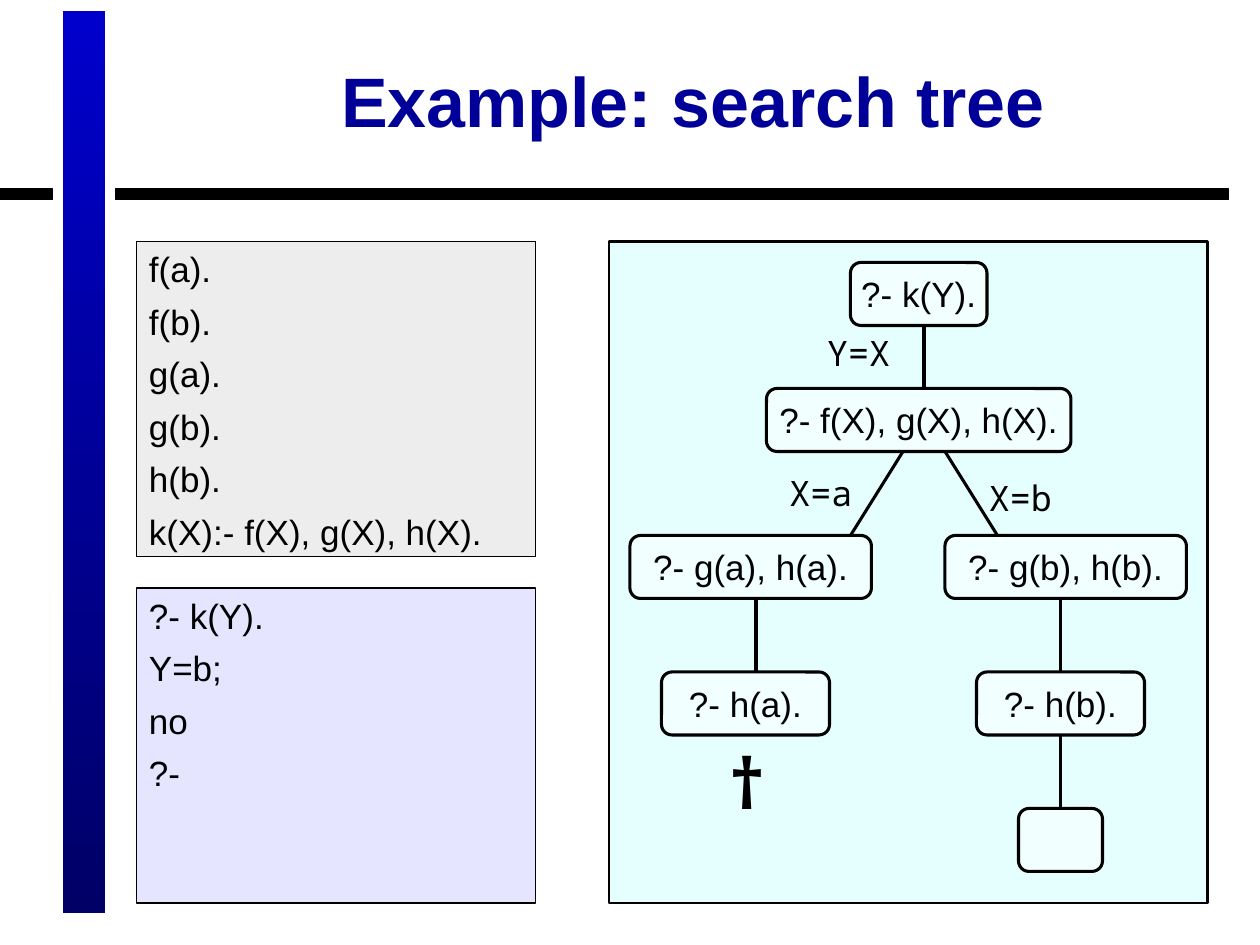
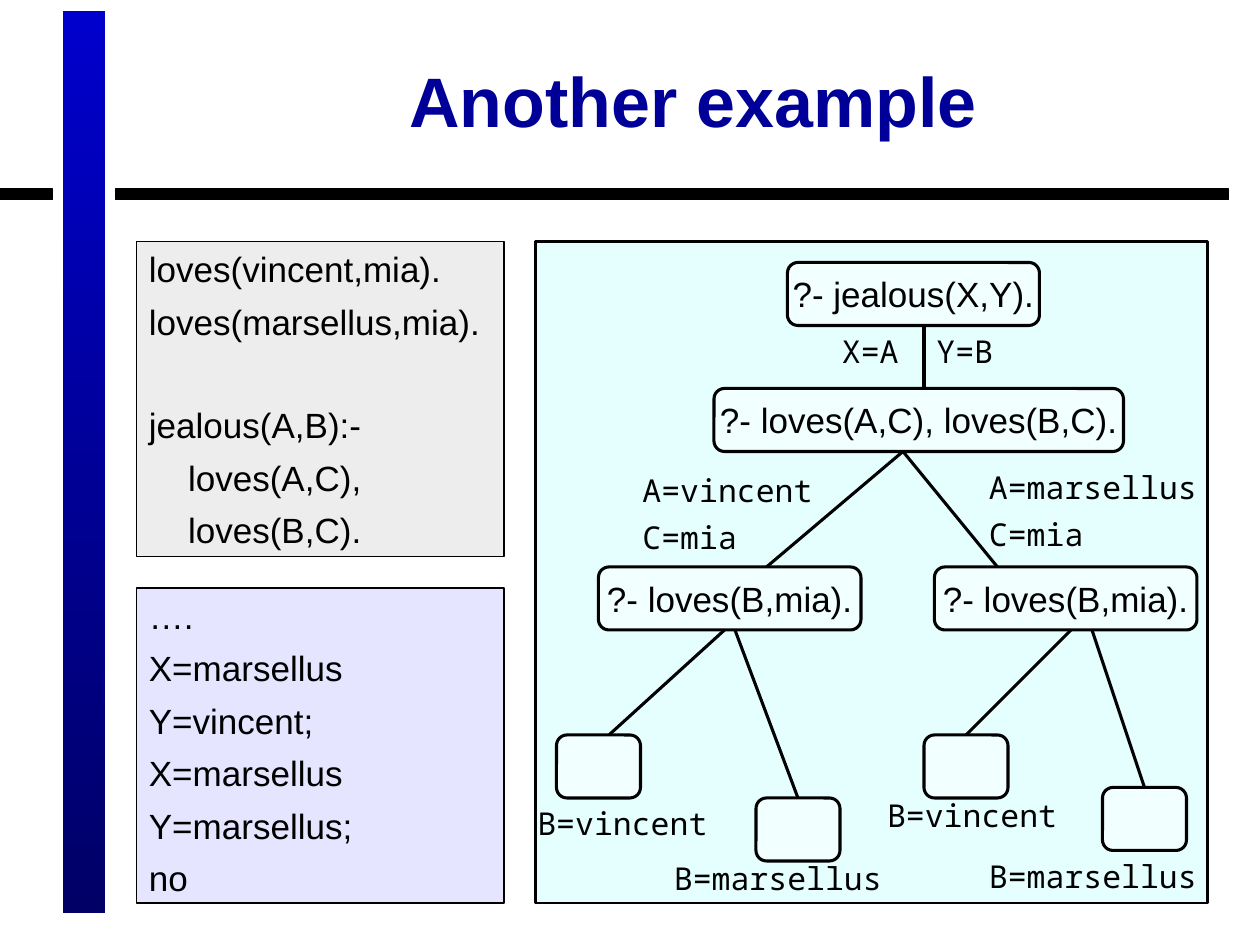
"""Build two slides that show Prolog programs beside their search trees."""
from dataclasses import dataclass

import lxml.etree
import pptx
import pptx.dml.color
import pptx.enum.shapes
import pptx.enum.text
import pptx.oxml.ns
import pptx.util

Cm = pptx.util.Cm
Pt = pptx.util.Pt
KIND = pptx.enum.shapes.MSO_SHAPE
ALIGN = pptx.enum.text.PP_ALIGN
ANCHOR = pptx.enum.text.MSO_ANCHOR

COLORS = {
    "ink": "000000",
    "paper": "FFFFFF",
    "title": "000099",
    "top": "0000CC",
    "base": "000066",
    "code": "DDDDDD",
    "query": "CCCCFF",
    "tree": "CCFFFF",
}
SANS = "Arial"
MONO = "Noto Sans Mono"
UNIT = 2.54 / 12
LEFT = 13
NODE_H = 6


@dataclass
class Box:
    left: float
    top: float
    wide: float
    high: float


@dataclass
class Row:
    text: str
    inset: float = 0
    gap: float = 6


@dataclass
class Node:
    left: float
    top: float
    wide: float = 8
    text: str = ""


@dataclass
class Edge:
    x1: float
    y1: float
    x2: float
    y2: float


@dataclass
class Note:
    text: str
    left: float
    top: float
    wide: float
    size: float = 18
    bold: bool = False


@dataclass
class Page:
    title: str
    wide: float
    panel: Box
    code: list[Row]
    query: list[Row]
    nodes: list[Node]
    edges: list[Edge]
    notes: list[Note]


def grid(count: float) -> pptx.util.Length:
    return Cm(count * UNIT)


def tint(name: str) -> pptx.dml.color.RGBColor:
    return pptx.dml.color.RGBColor.from_string(COLORS[name])


def draw_box(slide, box: Box, fill: str, line: str = "ink", width: float = 0.75,
             kind=KIND.RECTANGLE, alpha: int = 100):
    shape = slide.shapes.add_shape(kind, grid(box.left), grid(box.top),
                                   grid(box.wide), grid(box.high))
    shape.shadow.inherit = False
    shape.fill.solid()
    shape.fill.fore_color.rgb = tint(fill)
    shape.line.color.rgb = tint(line)
    shape.line.width = Pt(width)
    if alpha < 100:
        solid = shape.element.spPr.find(pptx.oxml.ns.qn("a:solidFill"))
        mark = lxml.etree.SubElement(solid[0], pptx.oxml.ns.qn("a:alpha"))
        mark.set("val", str(alpha * 1000))
    return shape


def write(shape, rows: list[Row], size: float = 20, font: str = SANS, color: str = "ink",
          bold: bool = False, align=ALIGN.LEFT, anchor=ANCHOR.TOP, wrap: bool = True) -> None:
    frame = shape.text_frame
    frame.text = "\n".join(row.text for row in rows)
    frame.word_wrap = wrap
    frame.vertical_anchor = anchor
    for para, row in zip(frame.paragraphs, rows):
        para.alignment = align
        para.space_before = Pt(row.gap)
        if row.inset:
            props = para._p.get_or_add_pPr()
            props.set("marL", str(Cm(row.inset)))
            props.set("indent", "0")
        for run in para.runs:
            run.font.name = font
            run.font.size = Pt(size)
            run.font.bold = bold
            run.font.color.rgb = tint(color)


def draw_frame(slide, title: str) -> None:
    band = draw_box(slide, Box(6, 1, 4, 86), "top")
    band.line.fill.background()
    band.fill.gradient()
    band.fill.gradient_angle = 270
    for stop, name in zip(band.fill.gradient_stops, ("top", "base")):
        stop.color.rgb = tint(name)
    for left, wide in ((11, 106), (0, 5)):
        draw_box(slide, Box(left, 18, wide, 1), "ink")
    head = draw_box(slide, Box(LEFT, 2, 106, 15), "paper", "paper")
    write(head, [Row(title, gap=0)], 40, color="title", bold=True,
          align=ALIGN.CENTER, anchor=ANCHOR.MIDDLE)


def draw_edge(slide, edge: Edge) -> None:
    ends = [grid(end) for end in (edge.x1, edge.y1, edge.x2, edge.y2)]
    line = slide.shapes.add_connector(pptx.enum.shapes.MSO_CONNECTOR.STRAIGHT, *ends)
    line.line.color.rgb = tint("ink")
    line.line.width = Pt(1.75)
    lxml.etree.SubElement(line.element.spPr, pptx.oxml.ns.qn("a:effectLst"))


def draw_node(slide, node: Node) -> None:
    shape = draw_box(slide, Box(node.left, node.top, node.wide, NODE_H), "paper",
                     width=1.75, kind=KIND.FLOWCHART_ALTERNATE_PROCESS, alpha=50)
    if node.text:
        write(shape, [Row(node.text)], align=ALIGN.CENTER, anchor=ANCHOR.MIDDLE, wrap=False)


def draw_note(slide, note: Note) -> None:
    lines = note.text.split("\n")
    high = note.size * len(lines) / 4
    shape = slide.shapes.add_textbox(grid(note.left), grid(note.top),
                                     grid(note.wide), grid(high))
    write(shape, [Row(line, gap=5) for line in lines], note.size, MONO,
          bold=note.bold, wrap=False)


def draw_page(deck, page: Page) -> None:
    slide = deck.slides.add_slide(deck.slide_layouts[6])
    draw_frame(slide, page.title)
    for fill, top, rows in (("code", 23, page.code), ("query", 56, page.query)):
        write(draw_box(slide, Box(LEFT, top, page.wide, 30), fill, alpha=50), rows)
    draw_box(slide, page.panel, "tree", width=1.5, alpha=50)
    for edge in page.edges:
        draw_edge(slide, edge)
    for node in page.nodes:
        draw_node(slide, node)
    for note in page.notes:
        draw_note(slide, note)


def rows_of(*lines: str) -> list[Row]:
    return [Row(line) for line in lines]


PAGES = [
    Page(
        "Example: search tree", 38, Box(58, 23, 57, 63),
        rows_of("f(a).", "f(b).", "g(a).", "g(b).", "h(b).", "k(X):- f(X), g(X), h(X)."),
        rows_of("?- k(Y).", "Y=b;", "no", "?-"),
        [
            Node(81, 25, 13, "?- k(Y)."),
            Node(73, 37, 29, "?- f(X), g(X), h(X)."),
            Node(60, 51, 23, "?- g(a), h(a)."),
            Node(90, 51, 23, "?- g(b), h(b)."),
            Node(63, 64, 16, "?- h(a)."),
            Node(93, 64, 16, "?- h(b)."),
            Node(97, 77),
        ],
        [
            Edge(88, 31, 88, 37),
            Edge(86, 43, 81, 51),
            Edge(90, 43, 95, 51),
            Edge(72, 57, 72, 64),
            Edge(101, 57, 101, 64),
            Edge(101, 70, 101, 77),
        ],
        [
            Note("Y=X", 77.6, 31, 8.4, 20),
            Note("X=a", 74, 44.3, 8.4, 20),
            Note("X=b", 93, 44.8, 8.4, 20),
            Note("†", 68, 69.8, 6.4, 40, True),
        ],
    ),
    Page(
        "Another example", 35, Box(51, 23, 64, 63),
        [
            *rows_of("loves(vincent,mia).", "loves(marsellus,mia)."),
            Row("jealous(A,B):-", gap=35),
            Row("loves(A,C),", 0.79),
            Row("loves(B,C).", 0.79),
        ],
        rows_of("….", "X=marsellus", "Y=vincent;", "X=marsellus", "Y=marsellus;", "no"),
        [
            Node(75, 25, 24, "?- jealous(X,Y)."),
            Node(68, 37, 39, "?- loves(A,C), loves(B,C)."),
            Node(57, 54, 25, "?- loves(B,mia)."),
            Node(89, 54, 25, "?- loves(B,mia)."),
            Node(53, 70),
            Node(72, 76),
            Node(88, 70),
            Node(105, 75),
        ],
        [
            Edge(88, 31, 88, 37),
            Edge(86, 43, 73, 54),
            Edge(86, 43, 95, 54),
            Edge(69, 60, 58, 70),
            Edge(70, 60, 76, 76),
            Edge(102, 60, 92, 70),
            Edge(104, 60, 109, 75),
        ],
        [
            Note("X=A", 79, 31, 8),
            Note("Y=B", 88, 31, 8),
            Note("A=vincent\nC=mia", 60, 44.3, 18.6),
            Note("A=marsellus\nC=mia", 93, 44, 22.2),
            Note("B=vincent", 50, 76, 18.7),
            Note("B=vincent", 83.3, 75.2, 18.7),
            Note("B=marsellus", 63, 81.2, 23),
            Note("B=marsellus", 93, 81, 23),
        ],
    ),
]


def main() -> None:
    deck = pptx.Presentation()
    deck.slide_width = Cm(25.4)
    deck.slide_height = Cm(19.05)
    for page in PAGES:
        draw_page(deck, page)
    deck.save("out.pptx")


if __name__ == "__main__":
    main()
